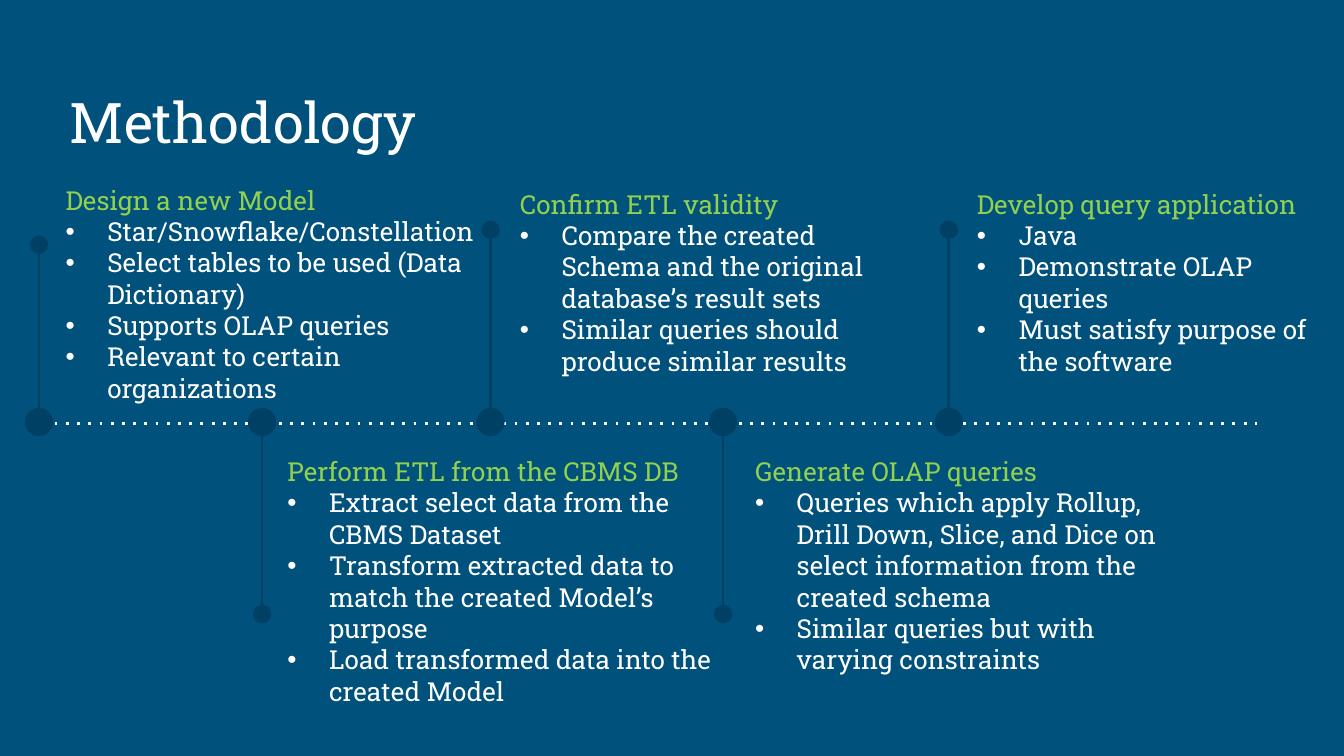
from lxml.etree import SubElement
from pptx import Presentation
from pptx.dml.color import RGBColor
from pptx.enum.shapes import MSO_CONNECTOR, MSO_SHAPE
from pptx.enum.text import MSO_ANCHOR, MSO_AUTO_SIZE, PP_ALIGN
from pptx.oxml.ns import qn
from pptx.util import Inches, Pt

# Content: stem x, text left, top, width, line count, heading, bullets
TITLE = "Methodology"
STEPS = [
    (0.29, 0.39, 1.32, 3.28, 7, "Design a new Model",
     ["Star/Snowflake/Constellation",
      "Select tables to be used (Data Dictionary)",
      "Supports OLAP queries",
      "Relevant to certain organizations"]),
    (1.95, 2.04, 3.34, 3.43, 8, "Perform ETL from the CBMS DB",
     ["Extract select data from the CBMS Dataset",
      "Transform extracted data to match the created Model’s purpose",
      "Load transformed data into the created Model"]),
    (3.65, 3.77, 1.35, 3.08, 6, "Confirm ETL validity",
     ["Compare the created Schema and the original database’s result sets",
      "Similar queries should produce similar results"]),
    (5.38, 5.52, 3.34, 3.2, 7, "Generate OLAP queries",
     ["Queries which apply Rollup, Drill Down, Slice, and Dice on select "
      "information from the created schema",
      "Similar queries but with varying constraints"]),
    (7.06, 7.17, 1.35, 2.69, 6, "Develop query application",
     ["Java", "Demonstrate OLAP queries",
      "Must satisfy purpose of the software"]),
]
FONT = "Roboto Slab"
BLUE, NAVY, GREEN, WHITE = "00517C", "004065", "92D050", "FFFFFF"
WIDTH = 10
AXIS_Y, DOT = 3.14, 0.21
STEM_UP, STEM_DOWN, FIRST_STEM = 1.71, 4.57, 1.82
LINE_H, INDENT = Pt(17), Inches(0.31)


def color(value):
    return RGBColor.from_string(value)


def write(p, text, size=14, fill=WHITE, bullet=False):
    p.alignment = PP_ALIGN.LEFT
    r = p.add_run()
    r.text = text
    r.font.name, r.font.size = FONT, Pt(size)
    r.font.color.rgb = color(fill)
    if bullet:
        pPr = p._p.get_or_add_pPr()
        pPr.set("marL", str(INDENT))
        pPr.set("indent", str(-INDENT))
        SubElement(pPr, qn("a:buFont"), typeface="Arial")
        SubElement(pPr, qn("a:buChar"), char="•")


def add_line(shapes, x1, y1, x2, y2, fill, dash=None, oval=False):
    ln = shapes.add_connector(MSO_CONNECTOR.STRAIGHT, Inches(x1), Inches(y1),
                              Inches(x2), Inches(y2))
    ln.line.color.rgb = color(fill)
    ln.line.width = Pt(1.5)
    props = ln.line._get_or_add_ln()
    if dash:
        SubElement(props, qn("a:prstDash"), val=dash)
    if oval:
        SubElement(props, qn("a:tailEnd"), type="oval", w="lg", len="lg")
    SubElement(ln._element.spPr, qn("a:effectLst"))


def add_marker(slide, x, end_y):
    """Dot on the axis with a stem towards its text, as one group."""
    shapes = slide.shapes.add_group_shape().shapes
    side = 1 if end_y > AXIS_Y else -1
    add_line(shapes, x, AXIS_Y + side * DOT / 2, x, end_y, NAVY, oval=True)
    sp = shapes.add_shape(MSO_SHAPE.OVAL, Inches(x - DOT / 2),
                          Inches(AXIS_Y - DOT / 2), Inches(DOT), Inches(DOT))
    sp.shadow.inherit = False
    sp.fill.solid()
    sp.fill.fore_color.rgb = color(NAVY)
    sp.line.fill.background()


def add_step_text(slide, left, top, width, lines, heading, bullets):
    sp = slide.shapes.add_textbox(Inches(left), Inches(top), Inches(width),
                                  Inches(0.1) + LINE_H * lines)
    tf = sp.text_frame
    tf.word_wrap = True
    tf.auto_size = MSO_AUTO_SIZE.SHAPE_TO_FIT_TEXT
    write(tf.paragraphs[0], heading, fill=GREEN)
    for text in bullets:
        write(tf.add_paragraph(), text, bullet=True)


prs = Presentation()
prs.slide_width, prs.slide_height = Inches(WIDTH), Inches(WIDTH * 9 / 16)
slide = prs.slides.add_slide(prs.slide_layouts[5])
slide.background.fill.solid()
slide.background.fill.fore_color.rgb = color(BLUE)

# Title
title = slide.shapes.title
title.left, title.top = Inches(0.42), Inches(0.5)
title.width, title.height = Inches(9.15), Inches(0.75)
tf = title.text_frame
tf.vertical_anchor = MSO_ANCHOR.BOTTOM
tf.margin_left = tf.margin_right = tf.margin_top = tf.margin_bottom = Inches(0.1)
write(tf.paragraphs[0], TITLE, size=30)

# Timeline axis, markers and step texts
add_line(slide.shapes, 0.24, 3.15, 9.35, 3.15, WHITE, dash="dot")
for i, (x, *_) in enumerate(STEPS):
    add_marker(slide, x, STEM_DOWN if i % 2 else STEM_UP if i else FIRST_STEM)
for _, *step in STEPS:
    add_step_text(slide, *step)

prs.save("out.pptx")
